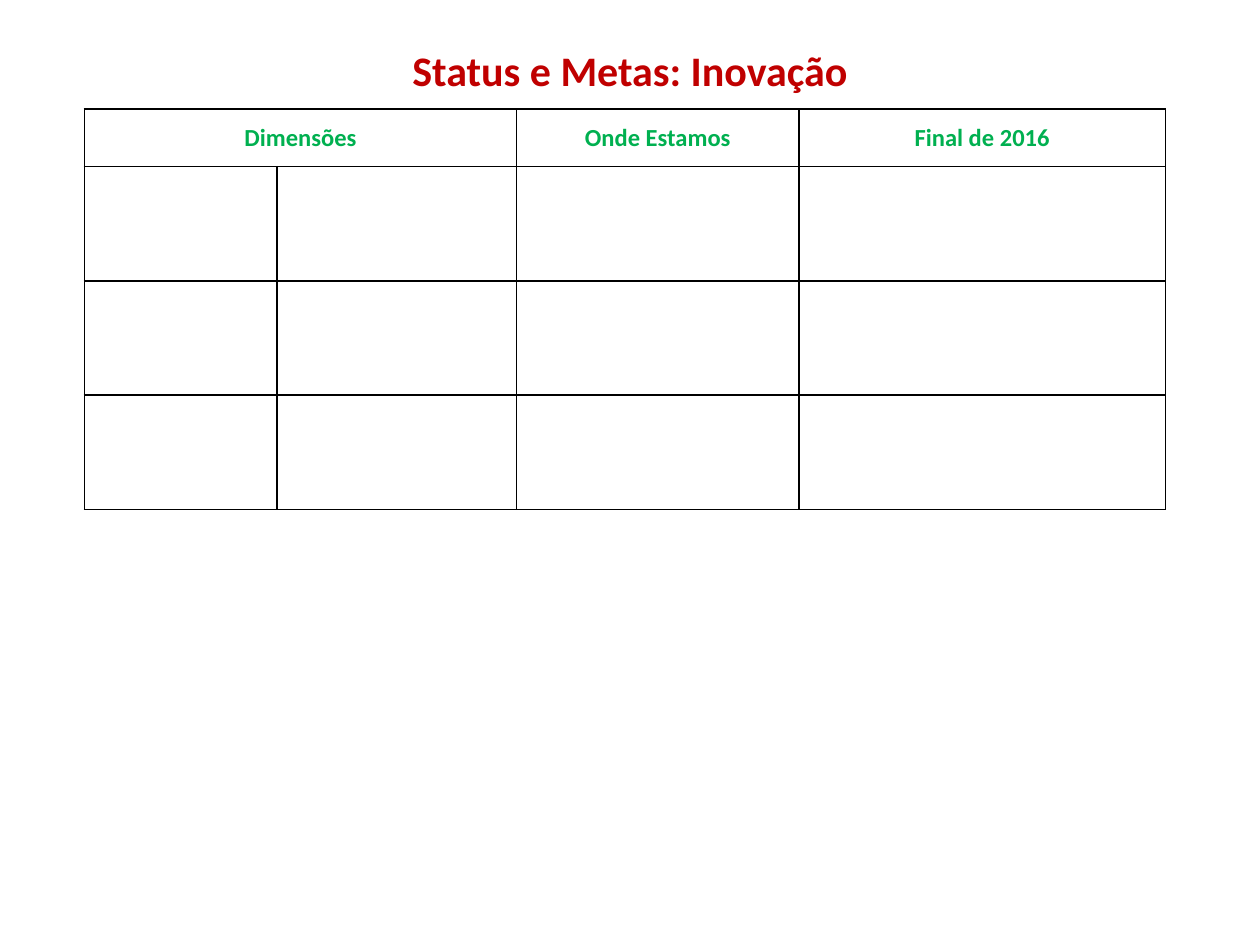
from dataclasses import dataclass

from lxml import etree
from pptx import Presentation
from pptx import util as u
from pptx.dml.color import RGBColor
from pptx.enum import text
from pptx.oxml.ns import qn


@dataclass(frozen=True)
class Theme:
    font: str = "Calibri"
    title_color: str = "C00000"
    header_color: str = "00B050"
    border_color: str = "000000"
    background: str = "FFFFFF"
    title_size: float = 24
    header_size: float = 14
    border_width: float = 1


def write(tf, content, *, font, size, color, bold=True, align=text.PP_ALIGN.CENTER):
    p = tf.paragraphs[0]
    p.alignment = align
    r = p.add_run()
    r.text = content
    r.font.name = font
    r.font.size = u.Pt(size)
    r.font.bold = bold
    r.font.color.rgb = RGBColor.from_string(color)


class SlideBuilder:
    def __init__(self, slide, theme):
        self.s = slide
        self.theme = theme
        fill = slide.background.fill
        fill.solid()
        fill.fore_color.rgb = RGBColor.from_string(theme.background)

    def title(self, content, left, top, width, height):
        sp = self.s.shapes.title
        sp.left, sp.top, sp.width, sp.height = map(u.Pt, (left, top, width, height))
        tf = sp.text_frame
        tf.word_wrap = True
        tf.auto_size = text.MSO_AUTO_SIZE.NONE
        tf.vertical_anchor = text.MSO_ANCHOR.TOP
        write(tf, content, font=self.theme.font, size=self.theme.title_size,
              color=self.theme.title_color)

    def border(self, cell):
        tc_pr = cell._tc.get_or_add_tcPr()
        for side in ("lnL", "lnR", "lnT", "lnB"):
            ln = etree.SubElement(tc_pr, qn(f"a:{side}"),
                                  w=str(u.Pt(self.theme.border_width)))
            fill = etree.SubElement(ln, qn("a:solidFill"))
            etree.SubElement(fill, qn("a:srgbClr"), val=self.theme.border_color)

    def header(self, cell, content):
        cell.vertical_anchor = text.MSO_ANCHOR.MIDDLE
        cell.margin_left = cell.margin_right = cell.margin_top = u.Pt(0.7)
        cell.margin_bottom = u.Pt(0)
        write(cell.text_frame, content, font=self.theme.font,
              size=self.theme.header_size, color=self.theme.header_color)

    def table(self, headers, left, top, widths, heights):
        frame = self.s.shapes.add_table(
            len(heights), len(widths), u.Pt(left), u.Pt(top),
            u.Pt(sum(widths)), u.Pt(sum(heights)))
        table = frame.table
        table.first_row = table.horz_banding = False
        for column, width in zip(table.columns, widths):
            column.width = u.Pt(width)
        for row, height in zip(table.rows, heights):
            row.height = u.Pt(height)
        for cell in table.iter_cells():
            self.border(cell)
            cell.fill.background()
        table.cell(0, 0).merge(table.cell(0, 1))
        for column, content in headers.items():
            self.header(table.cell(0, column), content)


def main():
    prs = Presentation()
    prs.slide_width, prs.slide_height = u.Pt(720), u.Pt(540)
    slide = SlideBuilder(prs.slides.add_slide(prs.slide_layouts[5]), Theme())
    slide.title("Status e Metas: Inovação", 36, 21.6, 648, 140.4)
    slide.table({0: "Dimensões", 2: "Onde Estamos", 3: "Final de 2016"},
                48.24, 62.4, [110, 137, 161.3, 209.5], [32.8] + [65.3] * 3)
    prs.save("out.pptx")


if __name__ == "__main__":
    main()
